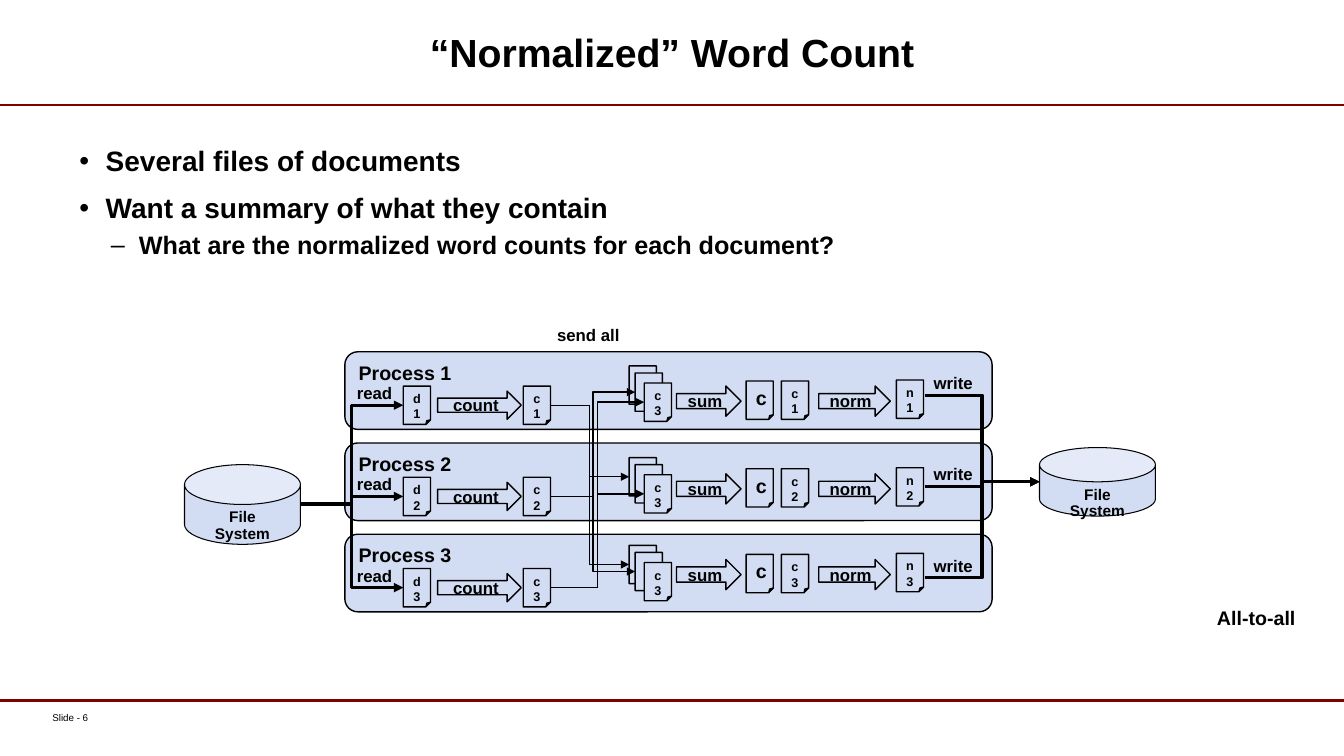
import pptx
import pptx.util
import pptx.dml.color
import pptx.enum.shapes
import pptx.enum.text
import pptx.oxml.ns
import lxml.etree

Inches = pptx.util.Inches
Pt = pptx.util.Pt
SHAPE = pptx.enum.shapes.MSO_SHAPE
LINK = pptx.enum.shapes.MSO_CONNECTOR
ALIGN = pptx.enum.text.PP_ALIGN
ANCHOR = pptx.enum.text.MSO_ANCHOR
COLORS = {"ink": "000000", "rule": "800000", "fill": "D2DCF2", "page": "FFFFFF"}
DOC = (0.27, 0.38)


def color(name):
    """Return a named colour."""
    return pptx.dml.color.RGBColor.from_string(COLORS[name])


def child(parent, tag, **attrs):
    """Append a drawing element with attributes."""
    return lxml.etree.SubElement(parent, pptx.oxml.ns.qn(tag), attrs)


def style(para, size, align=ALIGN.CENTER, bold=True):
    """Format one paragraph and its runs."""
    para.alignment = align
    for run in para.runs:
        run.font.name = "Arial"
        run.font.size = Pt(size)
        run.font.bold = bold
        run.font.color.rgb = color("ink")


def write(frame, text, size, align=ALIGN.CENTER, anchor=ANCHOR.TOP, bold=True):
    """Fill a text frame and format it."""
    frame.word_wrap = True
    frame.vertical_anchor = anchor
    frame.text = text
    for para in frame.paragraphs:
        style(para, size, align, bold)
    return frame


def label(slide, box, text, size, **look):
    """Add a text box."""
    area = slide.shapes.add_textbox(*map(Inches, box))
    return write(area.text_frame, text, size, **look)


def block(slide, kind, box, text="", size=9, width=1, **look):
    """Add a filled and outlined shape with text."""
    shape = slide.shapes.add_shape(kind, *map(Inches, box))
    shape.shadow.inherit = False
    shape.fill.solid()
    shape.fill.fore_color.rgb = color("fill")
    shape.line.color.rgb = color("ink")
    shape.line.width = Pt(width)
    write(shape.text_frame, text, size, **look)
    return shape


def sheet(slide, x, y, text="", size=9):
    """Add a small document."""
    block(slide, SHAPE.FOLDED_CORNER, (x, y, *DOC), text, size)


def arrow(slide, box, text):
    """Add a labelled step arrow."""
    block(slide, SHAPE.RIGHT_ARROW, box, text, 12, anchor=ANCHOR.MIDDLE)


def link(slide, start, end, width, kind=LINK.ELBOW, name="ink", head=True):
    """Join two points with a line or an elbow arrow."""
    line = slide.shapes.add_connector(kind, *map(Inches, (*start, *end)))
    line.line.color.rgb = color(name)
    line.line.width = Pt(width)
    if head:
        child(line.line._get_or_add_ln(), "a:tailEnd", type="triangle")
    child(line._element.spPr, "a:effectLst")


def frame(slide, wide):
    """Draw the title, the two rules and the footer."""
    for y in (1.04, 6.95):
        link(slide, (0, y), (wide, y), 1.75, LINK.STRAIGHT, "rule", False)
    foot = label(slide, (0.47, 7.06, 1.59, 0.24), "Slide - 6", 7,
                 align=ALIGN.LEFT, bold=False)
    foot.margin_left = Inches(0.05)
    foot.margin_top = foot.margin_right = foot.margin_bottom = 0
    title = label(slide, (1.37, 0.11, 10.59, 0.89), "“Normalized” Word Count", 28,
                  anchor=ANCHOR.MIDDLE)
    title.paragraphs[0].line_spacing = Pt(28)


def points(slide, box):
    """Write the bullet list."""
    rows = [("Several files of documents", 0),
            ("Want a summary of what they contain", 0),
            ("What are the normalized word counts for each document?", 1)]
    looks = [(20, 12, 0.26, 0.26, "•"), (18, 6, 0.59, 0.28, "–")]
    area = label(slide, box, "\n".join(text for text, _ in rows), 20)
    for para, (_, level) in zip(area.paragraphs, rows):
        size, gap, left, hang, mark = looks[level]
        style(para, size, ALIGN.LEFT)
        para.level = level
        para.line_spacing = 0.9
        para.space_before = Pt(gap)
        props = para._p.get_or_add_pPr()
        props.set("marL", str(Inches(left)))
        props.set("indent", str(-Inches(hang)))
        child(props, "a:buFont", typeface="Arial")
        child(props, "a:buChar", char=mark)


def disk(slide, box):
    """Draw a file system."""
    can = block(slide, SHAPE.CAN, box, "File\nSystem", 11, 0.75)
    can.adjustments[0] = 0.5
    can.text_frame.word_wrap = False
    for para in can.text_frame.paragraphs:
        para.line_spacing = 0.9


def stack(x, front):
    """Return the corners of three stacked sheets, back to front."""
    return [(x, front - 0.17), (x + 0.06, front - 0.1), (x + 0.15, front)]


def lane(slide, box, num, front, step):
    """Draw one process with its documents and steps."""
    x, y, _, _ = box
    block(slide, SHAPE.ROUNDED_RECTANGLE, box, f"Process {num}", 14, align=ALIGN.LEFT)
    sheet(slide, x + 0.58, y + 0.34, f"d{num}")
    arrow(slide, (x + 0.92, y + 0.39, 0.83, 0.28), "count")
    sheet(slide, x + 1.77, y + 0.34, f"c{num}")
    for (left, top), text in zip(stack(x + 2.82, front), ("", "", "c3")):
        sheet(slide, left, top, text)
    arrow(slide, (x + 3.29, step, 0.64, 0.3), "sum")
    sheet(slide, x + 3.98, step - 0.05, "c", 14)
    sheet(slide, x + 4.33, step - 0.05, f"c{num}")
    arrow(slide, (x + 4.7, step, 0.71, 0.3), "norm")
    sheet(slide, x + 5.47, step - 0.06, f"n{num}")
    label(slide, (x - 0.37, y + 0.26, 1.33, 0.3), "read", 12)
    label(slide, (x + 5.37, y + 0.16, 1.33, 0.3), "write", 12)


def flow(slide, box):
    """Draw the lanes, the file systems and the links between them."""
    x, y, wide, high = box
    tops = [y + 0.905 * i for i in range(3)]
    fronts = [y + d for d in (0.31, 1.22, 2.09)]
    steps = [y + d for d in (0.34, 1.21, 2.06)]
    for i, top in enumerate(tops):
        lane(slide, (x, top, wide, high), i + 1, fronts[i], steps[i])
    disk(slide, (x - 1.59, y + 1.12, 1.15, 0.79))
    disk(slide, (x + 6.89, y + 0.95, 1.15, 0.68))
    for i, top in enumerate(tops):
        mid = top + 0.53
        link(slide, (x - 0.44, y + 1.51), (x + 0.58, mid), 2.25)
        link(slide, (x + 5.75, top + 0.43), (x + 6.89, y + 1.29), 2.25)
        for j, front in enumerate(fronts):
            if i != j:
                left, back = stack(x + 2.82, front)[i]
                link(slide, (x + 2.04, mid), (left, back + 0.19), 1)
    label(slide, (x + 1.94, y - 0.32, 0.95, 0.3), "send all", 12)
    label(slide, (x + 8.55, y + 2.47, 0.98, 0.34), "All-to-all", 14).word_wrap = False


def main():
    """Build and save the slide."""
    deck = pptx.Presentation()
    deck.slide_width, deck.slide_height = Inches(13.33), Inches(7.5)
    slide = deck.slides.add_slide(deck.slide_layouts[6])
    slide.background.fill.solid()
    slide.background.fill.fore_color.rgb = color("page")
    frame(slide, 13.33)
    points(slide, (0.69, 1.41, 11.94, 5.28))
    flow(slide, (3.42, 3.49, 6.42, 0.77))
    deck.save("out.pptx")


if __name__ == "__main__":
    main()
